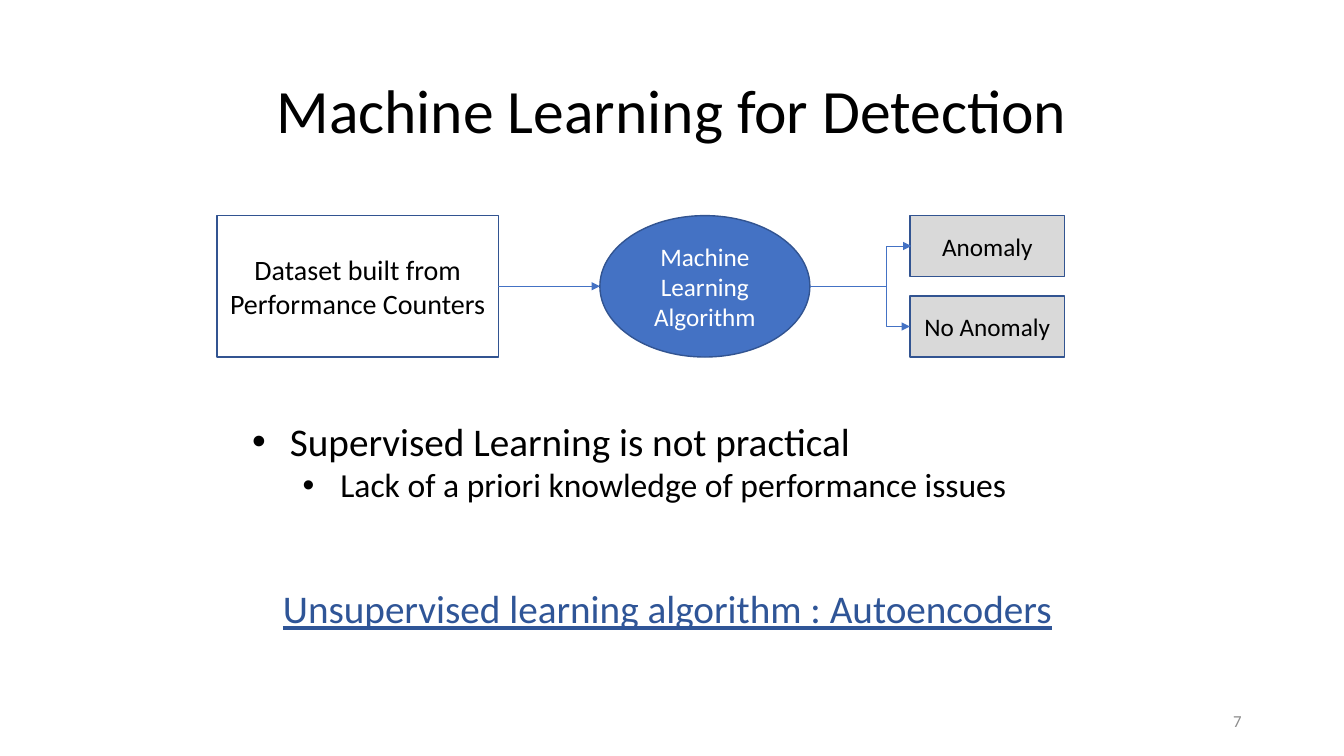
from lxml.etree import SubElement
from pptx import Presentation
from pptx.dml.color import RGBColor
from pptx.enum.shapes import MSO_CONNECTOR, MSO_SHAPE
from pptx.enum.text import MSO_ANCHOR, PP_ALIGN
from pptx.oxml.ns import qn
from pptx.util import Pt

BLACK = RGBColor(0x00, 0x00, 0x00)
WHITE = RGBColor(0xFF, 0xFF, 0xFF)
BLUE = RGBColor(0x44, 0x72, 0xC4)
OUTLINE = RGBColor(0x32, 0x54, 0x91)
LINK_BLUE = RGBColor(0x2F, 0x55, 0x97)
LIGHT_GRAY = RGBColor(0xD9, 0xD9, 0xD9)
NUMBER_GRAY = RGBColor(0x8C, 0x8C, 0x8C)

TITLE = "Machine Learning for Detection"
DATASET = "Dataset built from Performance Counters"
ALGORITHM = "Machine Learning Algorithm"
OUTCOMES = ["Anomaly", "No Anomaly"]
BULLETS = [("Supervised Learning is not practical", 28),
           ("Lack of a priori knowledge of performance issues", 24)]
CONCLUSION = "Unsupervised learning algorithm : Autoencoders"
PAGE_NUMBER = "7"

FLOW_TOP, FLOW_HEIGHT = 154, 101
FLOW_MIDDLE = FLOW_TOP + FLOW_HEIGHT / 2
DATASET_LEFT, DATASET_WIDTH = 155, 201
ALGORITHM_LEFT, ALGORITHM_WIDTH = 428.5, 150
OUTCOME_LEFT, OUTCOME_WIDTH, OUTCOME_HEIGHT = 650, 110.5, 43.5
FORK_X = 633
BULLET_INDENT, LEVEL_STEP = 27, 36

presentation = Presentation()
presentation.slide_width, presentation.slide_height = Pt(960), Pt(540)
slide = presentation.slides.add_slide(presentation.slide_layouts[6])


def style(paragraph, size, color, align=PP_ALIGN.LEFT):
    paragraph.alignment = align
    paragraph.font.name = "Calibri"
    paragraph.font.size = Pt(size)
    paragraph.font.color.rgb = color


def add_text(lines, left, top, width, height, color=BLACK,
             align=PP_ALIGN.LEFT, anchor=MSO_ANCHOR.TOP):
    box = slide.shapes.add_textbox(Pt(left), Pt(top), Pt(width), Pt(height))
    frame = box.text_frame
    frame.word_wrap = True
    frame.vertical_anchor = anchor
    frame.text = "\n".join(text for text, size in lines)
    for paragraph, (text, size) in zip(frame.paragraphs, lines):
        style(paragraph, size, color, align)
    return frame


def add_node(kind, text, left, top, width, height, size, color, fill=None):
    shape = slide.shapes.add_shape(kind, Pt(left), Pt(top), Pt(width), Pt(height))
    shape.shadow.inherit = False
    if fill is None:
        shape.fill.background()
    else:
        shape.fill.solid()
        shape.fill.fore_color.rgb = fill
    shape.line.color.rgb = OUTLINE
    shape.line.width = Pt(1)
    shape.text_frame.text = text
    shape.text_frame.vertical_anchor = MSO_ANCHOR.MIDDLE
    style(shape.text_frame.paragraphs[0], size, color, PP_ALIGN.CENTER)


def add_link(kind, start, end, arrowheads=()):
    connector = slide.shapes.add_connector(kind, *map(Pt, start + end))
    connector.line.color.rgb = BLUE
    connector.line.width = Pt(0.5)
    line = connector.line._get_or_add_ln()
    for arrowhead in arrowheads:
        SubElement(line, qn(f"a:{arrowhead}"), type="triangle")
    SubElement(connector._element.spPr, qn("a:effectLst"))
    return connector


title = add_text([(TITLE, 44)], 66, 29, 828, 104.5,
                 align=PP_ALIGN.CENTER, anchor=MSO_ANCHOR.MIDDLE)
title.paragraphs[0].line_spacing = 0.9

add_node(MSO_SHAPE.RECTANGLE, DATASET, DATASET_LEFT, FLOW_TOP,
         DATASET_WIDTH, FLOW_HEIGHT, 20, BLACK)
add_node(MSO_SHAPE.OVAL, ALGORITHM, ALGORITHM_LEFT, FLOW_TOP,
         ALGORITHM_WIDTH, FLOW_HEIGHT, 18, WHITE, BLUE)

outcome_step = FLOW_HEIGHT - OUTCOME_HEIGHT
for index, outcome in enumerate(OUTCOMES):
    add_node(MSO_SHAPE.RECTANGLE, outcome, OUTCOME_LEFT,
             FLOW_TOP + index * outcome_step, OUTCOME_WIDTH, OUTCOME_HEIGHT,
             18, BLACK, LIGHT_GRAY)

add_link(MSO_CONNECTOR.STRAIGHT, (DATASET_LEFT + DATASET_WIDTH, FLOW_MIDDLE),
         (ALGORITHM_LEFT, FLOW_MIDDLE), ["tailEnd"])
add_link(MSO_CONNECTOR.STRAIGHT, (ALGORITHM_LEFT + ALGORITHM_WIDTH, FLOW_MIDDLE),
         (FORK_X, FLOW_MIDDLE))
first_middle = FLOW_TOP + OUTCOME_HEIGHT / 2
fork_start = OUTCOME_LEFT + 1
fork = add_link(MSO_CONNECTOR.ELBOW, (fork_start, first_middle),
                (OUTCOME_LEFT, first_middle + outcome_step), ["headEnd", "tailEnd"])
bend = (fork_start - FORK_X) * 100000
guides = fork._element.spPr.find(qn("a:prstGeom")).get_or_add_avLst()
SubElement(guides, qn("a:gd"), name="adj1", fmla=f"val {bend}")

bullets = add_text(BULLETS, 173, 294.5, 605, 70.5)
for level, paragraph in enumerate(bullets.paragraphs):
    paragraph.level = level
    properties = paragraph._p.get_or_add_pPr()
    properties.set("marL", str(Pt(BULLET_INDENT + level * LEVEL_STEP)))
    properties.set("indent", str(Pt(-BULLET_INDENT)))
    bullet_font = SubElement(properties, qn("a:buFont"), typeface="Arial")
    bullet = SubElement(properties, qn("a:buChar"), char="•")
    properties.find(qn("a:defRPr")).addprevious(bullet_font)
    bullet_font.addnext(bullet)

conclusion = add_text([(CONCLUSION, 28)], 195, 414, 569.5, 41, LINK_BLUE)
conclusion.word_wrap = False
conclusion.paragraphs[0].font.underline = True

add_text([(PAGE_NUMBER, 12)], 678, 500.5, 216, 29, NUMBER_GRAY,
         PP_ALIGN.RIGHT, MSO_ANCHOR.MIDDLE)

presentation.save("out.pptx")
